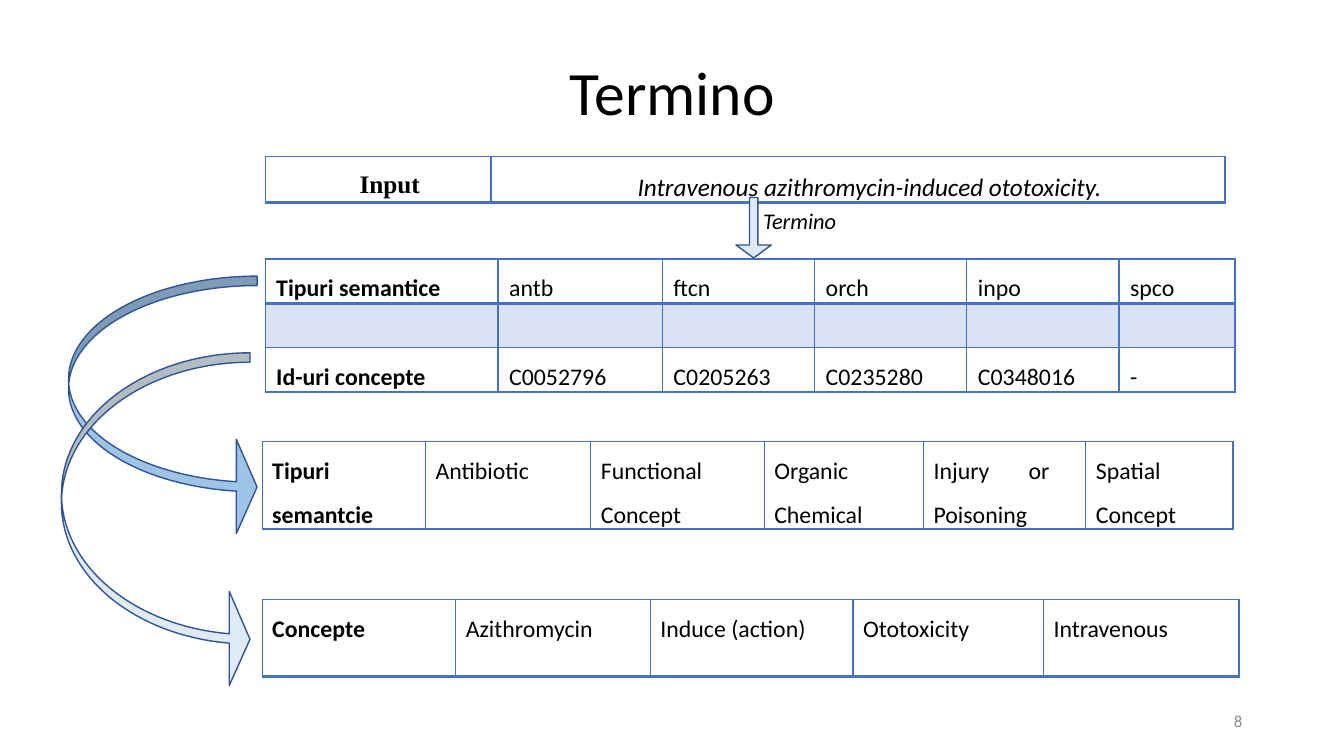
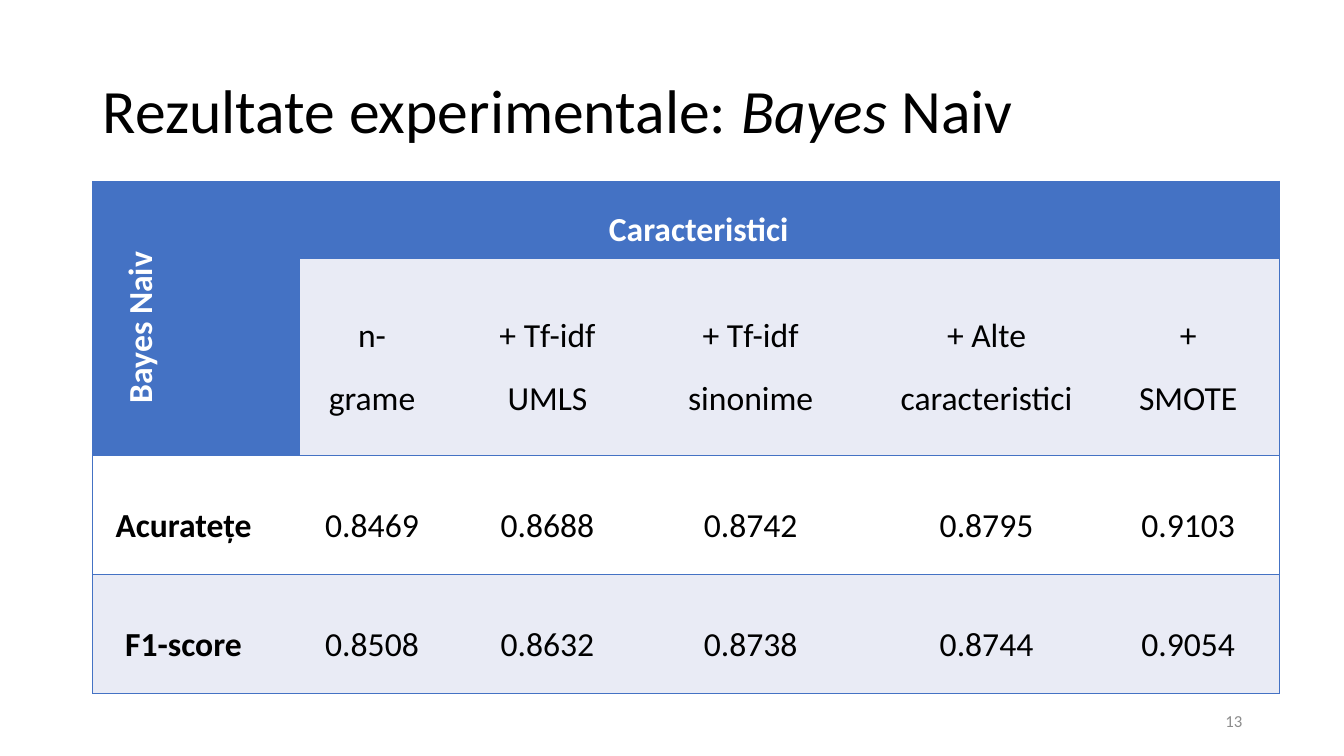
"""Build two slides on concept extraction and Naive Bayes results."""
import dataclasses

import lxml.etree
import pptx
import pptx.dml.color
import pptx.enum.shapes
import pptx.enum.text
import pptx.oxml.ns
import pptx.util

Inches, Pt = pptx.util.Inches, pptx.util.Pt
ALIGN = pptx.enum.text.PP_ALIGN
MIDDLE = pptx.enum.text.MSO_ANCHOR.MIDDLE
PRESET = pptx.enum.shapes.MSO_SHAPE


@dataclasses.dataclass(frozen=True)
class Theme:
    font: str = "Calibri"
    serif: str = "Times New Roman"
    ink: str = "000000"
    muted: str = "8C8C8C"
    white: str = "FFFFFF"
    accent: str = "4472C4"
    tint: str = "DAE3F3"
    band: str = "E9EBF5"
    arrow_line: str = "325491"
    arrow_pale: str = "DEEBF7"
    arrow_mid: str = "9DC3E6"
    title: int = 44
    result: int = 24
    sentence: int = 18
    term: int = 17
    label: int = 16
    number: int = 12
    line_spacing: float = 1.52
    right_indent: float = 0.26
    plain_table: str = "{2D5ABB26-0587-4C30-8999-92F81FD0307C}"


THEME = Theme()
WIDTH, HEIGHT = 13.33, 7.5

EXTRACTOR = "Termino"
SENTENCE = [["Input", "Intravenous azithromycin-induced ototoxicity."]]
CODES = [
    ["Tipuri semantice", "antb", "ftcn", "orch", "inpo", "spco"],
    [""] * 6,
    ["Id-uri concepte", "C0052796", "C0205263", "C0235280", "C0348016", "-"],
]
SEMANTIC_TYPES = [["Tipuri semantcie", "Antibiotic", "Functional Concept",
                   "Organic Chemical", "Injury or Poisoning", "Spatial Concept"]]
CONCEPTS = [["Concepte", "Azithromycin", "Induce (action)", "Ototoxicity", "Intravenous"]]
TERM_TABLES = [
    (CODES, (2.63, 2.57), [2.31, 1.63, 1.51, 1.51, 1.51, 1.15], 0.44, 0.11),
    (SEMANTIC_TYPES, (2.6, 4.38), [1.62, 1.64, 1.72, 1.58, 1.61, 1.46], 0.87, 0.1),
    (CONCEPTS, (2.6, 5.95), [1.92, 1.93, 2.01, 1.89, 1.94], 0.76, 0.1),
]
ARROWS = [
    (PRESET.DOWN_ARROW, (7.3, 1.96, 0.35, 0.6), (0.236, 0.368), THEME.arrow_pale),
    (PRESET.CURVED_RIGHT_ARROW, (0.68, 2.74, 1.87, 2.56), (0.05, 0.5, 0.11), THEME.arrow_mid),
    (PRESET.CURVED_RIGHT_ARROW, (0.61, 3.5, 1.87, 3.31), (0.05, 0.5, 0.11), THEME.arrow_pale),
]

RESULTS_TITLE = [("Rezultate experimentale: ", False), ("Bayes", True), (" Naiv", False)]
RESULTS = [
    ["Bayes Naiv", "Caracteristici", "", "", "", ""],
    ["", "n-grame", "+ Tf-idf UMLS", "+ Tf-idf sinonime", "+ Alte\ncaracteristici", "+ SMOTE"],
    ["Acuratețe", "0.8469", "0.8688", "0.8742", "0.8795", "0.9103"],
    ["F1-score", "0.8508", "0.8632", "0.8738", "0.8744", "0.9054"],
]
RESULT_COLUMNS = [2.06, 1.68, 1.8, 2.23, 2.45, 1.55]
RESULT_ROWS = [0.76, 1.95, 1.18, 1.18]


def rgb(color):
    return pptx.dml.color.RGBColor.from_string(color)


def box(*lengths):
    return [Inches(length) for length in lengths]


def style(font, size, color=THEME.ink, bold=False, italic=False, name=THEME.font):
    font.name, font.size, font.bold, font.italic = name, Pt(size), bold, italic
    font.color.rgb = rgb(color)


def add_label(slide, text, place, size, color=THEME.ink, align=ALIGN.LEFT,
              italic=False, wrap=True):
    frame = slide.shapes.add_textbox(*box(*place)).text_frame
    frame.word_wrap = wrap
    frame.text = text
    frame.paragraphs[0].alignment = align
    style(frame.paragraphs[0].runs[0].font, size, color, italic=italic)
    return frame


def start_slide(deck, title_parts, title_top, align, number):
    slide = deck.slides.add_slide(deck.slide_layouts[5])
    title = slide.shapes.title
    title.left, title.top, title.width, title.height = box(0.92, title_top, 11.5, 1.45)
    frame = title.text_frame
    frame.vertical_anchor, frame.word_wrap = MIDDLE, True
    paragraph = frame.paragraphs[0]
    paragraph.alignment, paragraph.line_spacing = align, 0.9
    for text, italic in title_parts:
        run = paragraph.add_run()
        run.text = text
        style(run.font, THEME.title, italic=italic)
    footer = add_label(slide, number, (9.42, 6.95, 3, 0.4), THEME.number,
                       THEME.muted, ALIGN.RIGHT)
    footer.vertical_anchor = MIDDLE
    return slide


def add_borders(cell, widths):
    properties = cell._tc.get_or_add_tcPr()
    for side in "LRTB":
        line = lxml.etree.SubElement(properties, pptx.oxml.ns.qn(f"a:ln{side}"))
        if side in widths:
            line.set("w", str(Pt(widths[side])))
            fill = lxml.etree.SubElement(line, pptx.oxml.ns.qn("a:solidFill"))
            lxml.etree.SubElement(fill, pptx.oxml.ns.qn("a:srgbClr"), val=THEME.accent)
        else:
            lxml.etree.SubElement(line, pptx.oxml.ns.qn("a:noFill"))


def add_grid(slide, rows, corner, columns, heights):
    table = slide.shapes.add_table(
        len(rows), len(columns), *box(*corner, sum(columns), sum(heights))).table
    table.first_row = table.horz_banding = False
    table._tbl.tblPr.find(pptx.oxml.ns.qn("a:tableStyleId")).text = THEME.plain_table
    for column, width in zip(table.columns, columns):
        column.width = Inches(width)
    for row, height in zip(table.rows, heights):
        row.height = Inches(height)
    return table


def fill_cell(cell, text, align, inset, left=0, first=0, vertical_inset=0, **font):
    cell.margin_left = cell.margin_right = Inches(inset)
    cell.margin_top = cell.margin_bottom = Inches(vertical_inset)
    cell.text = text
    for paragraph in cell.text_frame.paragraphs:
        paragraph.alignment = align
        paragraph.line_spacing, paragraph.space_after = THEME.line_spacing, Pt(0.2)
        indents = paragraph._p.get_or_add_pPr()
        for key, value in (("marL", left), ("marR", THEME.right_indent), ("indent", first)):
            indents.set(key, str(Inches(value)))
        for run in paragraph.runs:
            style(run.font, **font)


def paint(cell, color):
    cell.fill.solid()
    cell.fill.fore_color.rgb = rgb(color)


def add_sentence(slide):
    table = add_grid(slide, SENTENCE, (2.63, 1.55), [2.24, 7.28], [0.46])
    fonts = [dict(bold=True, name=THEME.serif), dict(italic=True)]
    for column, (text, font) in enumerate(zip(SENTENCE[0], fonts)):
        cell = table.cell(0, column)
        fill_cell(cell, text, ALIGN.CENTER, 0.11, first=0.49, size=THEME.sentence, **font)
        add_borders(cell, dict(L=1, R=1, T=1, B=2))


def add_terms(slide, rows, corner, columns, height, inset):
    table = add_grid(slide, rows, corner, columns, [height] * len(rows))
    for r, texts in enumerate(rows):
        for c, text in enumerate(texts):
            cell = table.cell(r, c)
            fill_cell(cell, text, ALIGN.JUSTIFY, inset, size=THEME.term, bold=c == 0)
            top = 2 if r == 1 else 1
            bottom = 2 if r == 0 else 1
            add_borders(cell, dict(L=1, R=1, T=top, B=bottom))
            if r == 1:
                paint(cell, THEME.tint)


def add_arrow(slide, preset, place, adjustments, color):
    arrow = slide.shapes.add_shape(preset, *box(*place))
    arrow.shadow.inherit = False
    for index, value in enumerate(adjustments):
        arrow.adjustments[index] = value
    paint(arrow, color)
    arrow.line.color.rgb = rgb(THEME.arrow_line)
    arrow.line.width = Pt(1)


def add_results(slide):
    table = add_grid(slide, RESULTS, (0.92, 1.8), RESULT_COLUMNS, RESULT_ROWS)
    last = len(RESULT_COLUMNS) - 1
    for r, texts in enumerate(RESULTS):
        for c, text in enumerate(texts):
            cell = table.cell(r, c)
            heading = r == 0 or (r == 1 and c == 0)
            side_title = r == 0 and c == 0
            fill_cell(cell, text, ALIGN.CENTER, 0.13 if heading else 0.15,
                      left=0.08 if side_title else 0,
                      vertical_inset=0.06 if heading else 0,
                      size=THEME.result, bold=heading or c == 0,
                      color=THEME.white if heading else THEME.ink)
            cell.vertical_anchor = MIDDLE
            edges = dict(T=1, B=1)
            if c == 0:
                edges["L"] = 1
            if c == last:
                edges["R"] = 1
            add_borders(cell, edges)
            paint(cell, THEME.accent if heading else THEME.white if r == 2 else THEME.band)
    table.cell(0, 0)._tc.get_or_add_tcPr().set("vert", "vert270")
    table.cell(0, 0).merge(table.cell(1, 0))
    table.cell(0, 1).merge(table.cell(0, last - 1))


def build():
    deck = pptx.Presentation()
    deck.slide_width, deck.slide_height = box(WIDTH, HEIGHT)

    extraction = start_slide(deck, [(EXTRACTOR, False)], 0.22, ALIGN.CENTER, "8")
    add_sentence(extraction)
    for term_table in TERM_TABLES:
        add_terms(extraction, *term_table)
    for arrow in ARROWS:
        add_arrow(extraction, *arrow)
    add_label(extraction, EXTRACTOR, (7.47, 2.01, 1.1, 0.37), THEME.label,
              italic=True, wrap=False)

    results = start_slide(deck, RESULTS_TITLE, 0.4, ALIGN.LEFT, "13")
    add_results(results)
    deck.save("out.pptx")


build()
